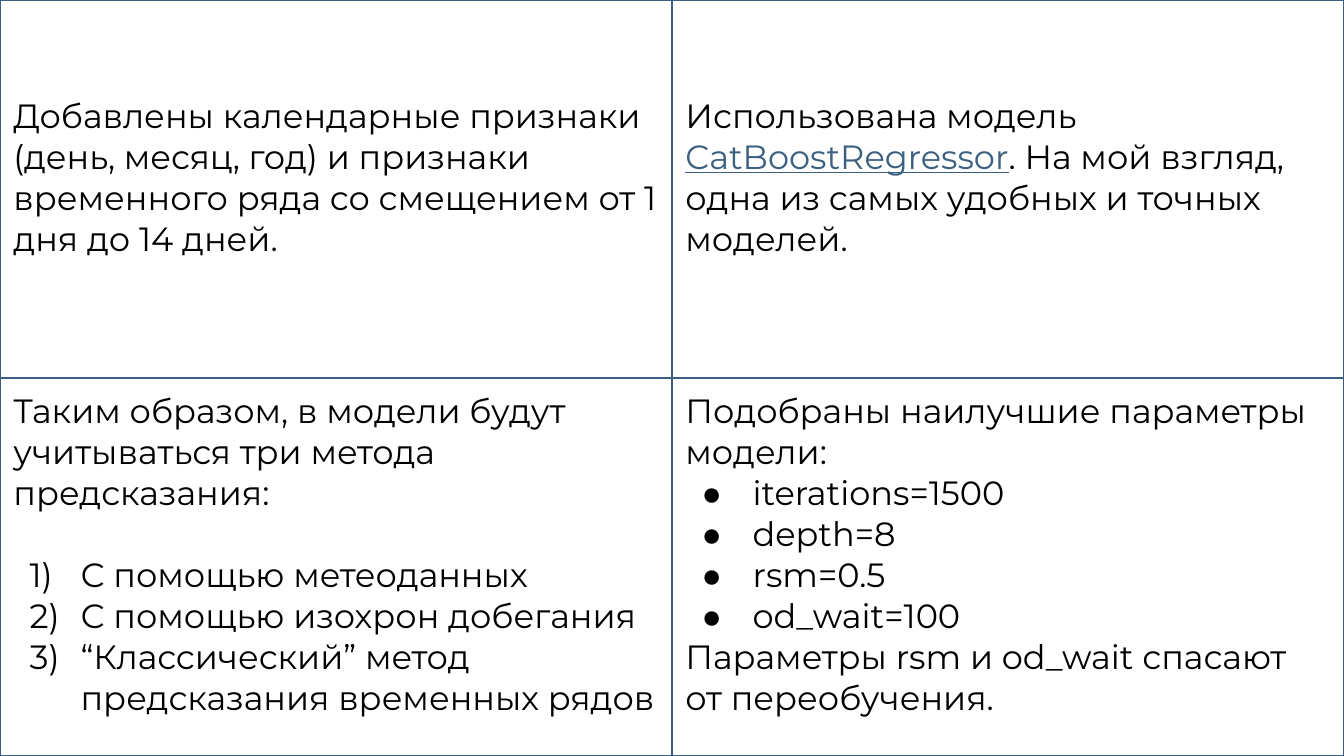
from lxml.etree import SubElement
from pptx import Presentation
from pptx.dml.color import RGBColor
from pptx.enum.text import MSO_ANCHOR
from pptx.oxml.ns import qn
from pptx.util import Inches, Pt

BLACK = RGBColor(0x00, 0x00, 0x00)
BLUE = RGBColor(0x3C, 0x60, 0x81)
FONT = "Montserrat"
TEXT_SIZE = Pt(18)
LINE_HEIGHT = 22  # points per line of text
MARGIN = Inches(0.1)
SLIDE_WIDTH = Inches(10)
SLIDE_HEIGHT = SLIDE_WIDTH * 9 // 16
NUMBER = (FONT, "buAutoNum", {"type": "arabicParenR"})
BULLET = ("Arial", "buChar", {"char": "●"})


def add_color(parent, color):
    fill = SubElement(parent, qn("a:solidFill"))
    SubElement(fill, qn("a:srgbClr"), val=str(color))


def add_run(paragraph, text, color=BLACK, underline=False):
    run = paragraph.add_run()
    run.text = text
    run.font.name = FONT
    run.font.size = TEXT_SIZE
    run.font.bold = False
    run.font.underline = underline
    run.font.color.rgb = color


def add_paragraph(cell, text, marker=None, space_before=0):
    """Add a paragraph, using the cell's first one while it is empty."""
    frame = cell.text_frame
    first = frame.paragraphs[0]
    paragraph = frame.add_paragraph() if first.runs else first
    paragraph.space_before = Pt(space_before)
    add_run(paragraph, text)
    if marker:
        typeface, tag, attributes = marker
        properties = paragraph._p.get_or_add_pPr()
        properties.set("marL", str(Inches(0.5)))
        properties.set("indent", str(-Inches(0.38)))
        bullet_color = SubElement(properties, qn("a:buClr"))
        SubElement(bullet_color, qn("a:srgbClr"), val=str(BLACK))
        SubElement(properties, qn("a:buFont"), typeface=typeface)
        SubElement(properties, qn(f"a:{tag}"), **attributes)
    return paragraph


def format_cell(cell, margin_top=MARGIN):
    cell.margin_left = cell.margin_right = cell.margin_bottom = MARGIN
    cell.margin_top = margin_top
    cell.vertical_anchor = MSO_ANCHOR.TOP
    properties = cell._tc.get_or_add_tcPr()
    for side in ("lnL", "lnR", "lnT", "lnB"):
        border = SubElement(properties, qn(f"a:{side}"), w=str(Pt(0.75)))
        add_color(border, BLUE)
    cell.fill.background()


def add_grid(slide):
    shape = slide.shapes.add_table(2, 2, 0, 0, SLIDE_WIDTH, SLIDE_HEIGHT)
    table = shape.table
    table.first_row = table.horz_banding = False
    # The upper row starts two text lines lower
    upper_margin = MARGIN + Pt(2 * LINE_HEIGHT)
    for row, margin_top in zip(table.rows, (upper_margin, MARGIN)):
        for cell in row.cells:
            format_cell(cell, margin_top)
    return table


def main():
    presentation = Presentation()
    presentation.slide_width = SLIDE_WIDTH
    presentation.slide_height = SLIDE_HEIGHT
    slide = presentation.slides.add_slide(presentation.slide_layouts[6])
    table = add_grid(slide)

    # Features
    add_paragraph(
        table.cell(0, 0),
        "Добавлены календарные признаки (день, месяц, год) и признаки "
        "временного ряда со смещением от 1 дня до 14 дней.",
    )

    # Model
    model = add_paragraph(table.cell(0, 1), "Использована модель ")
    add_run(model, "CatBoostRegressor", color=BLUE, underline=True)
    add_run(model, ". На мой взгляд, одна из самых удобных и точных моделей.")

    # Prediction methods
    methods = table.cell(1, 0)
    add_paragraph(
        methods,
        "Таким образом, в модели будут учитываться три метода предсказания:",
    )
    for index, text in enumerate((
        "С помощью метеоданных",
        "С помощью изохрон добегания",
        "“Классический” метод предсказания временных рядов",
    )):
        gap = LINE_HEIGHT if index == 0 else 0
        add_paragraph(methods, text, marker=NUMBER, space_before=gap)

    # Model parameters
    parameters = table.cell(1, 1)
    add_paragraph(parameters, "Подобраны наилучшие параметры модели:")
    for text in ("iterations=1500", "depth=8", "rsm=0.5", "od_wait=100"):
        add_paragraph(parameters, text, marker=BULLET)
    add_paragraph(parameters, "Параметры rsm и od_wait спасают от переобучения.")

    presentation.save("out.pptx")


if __name__ == "__main__":
    main()
